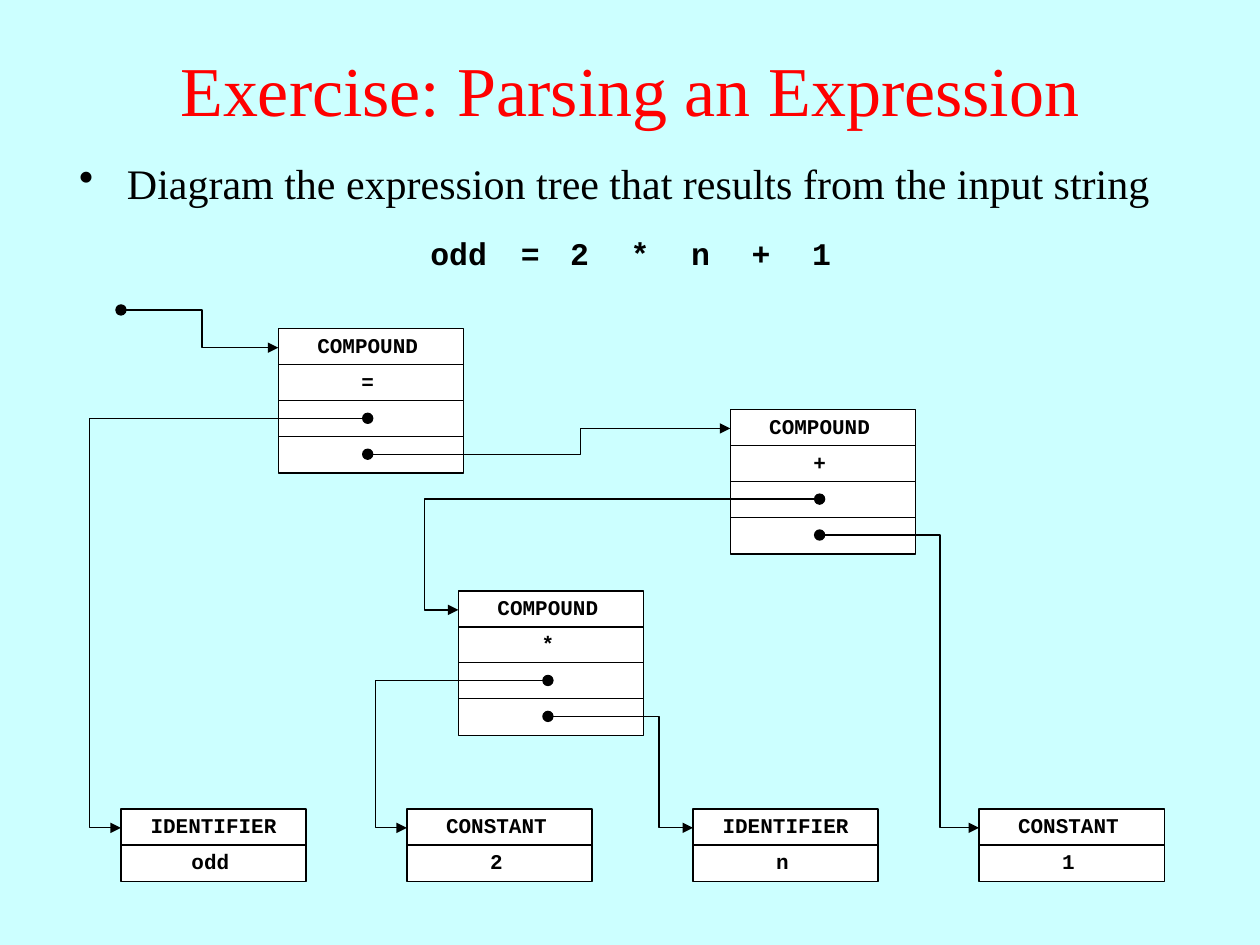
from dataclasses import dataclass

from lxml import etree
from pptx import Presentation
from pptx import util as u
from pptx.dml.color import RGBColor
from pptx.enum import shapes, text
from pptx.oxml import ns

W, H = 10, 7.5
COL, ROW = 2.27, 0.57 / 2
LEFT, TOP = 0.96, 2.61
NODE_W, DOT = 1.47, 0.08
ENTRY = 0.15


@dataclass(frozen=True)
class Theme:
    back: str = "CCFFFF"
    title: str = "FF0000"
    ink: str = "000000"
    cell: str = "FFFFFF"
    serif: str = "Times New Roman"
    mono: str = "Courier New"
    title_size: float = 40
    body_size: float = 24
    token_size: float = 18
    label_size: float = 12
    line: float = 0.75


T = Theme()

NODES = {
    "odd": (0, 13.37, "IDENTIFIER", "odd"),
    "two": (1, 13.37, "CONSTANT", "2"),
    "one": (3, 13.37, "CONSTANT", "1"),
    "n": (2, 13.37, "IDENTIFIER", "n"),
    "times": (1.18, 7.3, "COMPOUND", "*"),
    "plus": (2.13, 2.25, "COMPOUND", "+"),
    "assign": (0.55, 0, "COMPOUND", "="),
}
EDGES = [
    ("assign", 2, "odd", 0.71),
    ("assign", 3, "plus", 4.61),
    ("plus", 3, "one", 7.46),
    ("plus", 2, "times", 3.37),
    ("times", 2, "two", 2.98),
    ("times", 3, "n", 5.23),
]


def color(value):
    return RGBColor.from_string(value)


def add_xml(parent, tag, **attrs):
    return etree.SubElement(parent, ns.qn(tag), attrs)


def add_text(s, box, words, font, size, ink=T.ink, bold=False,
             align=text.PP_ALIGN.CENTER, anchor=text.MSO_ANCHOR.TOP):
    sp = s.shapes.add_textbox(*map(u.Inches, box))
    tf = sp.text_frame
    tf.word_wrap = True
    tf.vertical_anchor = anchor
    tf.text = words
    p = tf.paragraphs[0]
    p.alignment = align
    f = p.runs[0].font
    f.name, f.size, f.bold = font, u.Pt(size), bold
    f.color.rgb = color(ink)
    return p


def add_bullet(s, box, words):
    p = add_text(s, box, words, T.serif, T.body_size,
                 align=text.PP_ALIGN.JUSTIFY)
    p.line_spacing = 0.85
    p.space_after = u.Pt(6)
    pPr = p._p.get_or_add_pPr()
    pPr.set("marL", str(u.Inches(0.38)))
    pPr.set("indent", str(-u.Inches(0.38)))
    add_xml(add_xml(pPr, "a:buClr"), "a:srgbClr", val=T.ink)
    add_xml(pPr, "a:buChar", char="•")


def add_solid(s, kind, box, fill):
    sp = s.shapes.add_shape(kind, *map(u.Inches, box))
    sp.shadow.inherit = False
    sp.fill.solid()
    sp.fill.fore_color.rgb = color(fill)
    sp.line.color.rgb = color(T.ink)
    sp.line.width = u.Pt(T.line)


def add_dot(s, x, y):
    add_solid(s, shapes.MSO_SHAPE.OVAL, (x, y, DOT, DOT), T.ink)


def add_arrow(s, start, end, bend):
    cx = s.shapes.add_connector(shapes.MSO_CONNECTOR.ELBOW,
                                *map(u.Inches, (*start, *end)))
    cx.line.color.rgb = color(T.ink)
    cx.line.width = u.Pt(T.line)
    share = (bend - start[0]) / (end[0] - start[0])
    spPr = cx._element.spPr
    guides = spPr.find(ns.qn("a:prstGeom")).get_or_add_avLst()
    add_xml(guides, "a:gd", name="adj1", fmla=f"val {round(share * 100000)}")
    add_xml(cx.line._get_or_add_ln(), "a:tailEnd", type="triangle")
    add_xml(spPr, "a:effectLst")


def node_origin(name):
    col, row = NODES[name][:2]
    return LEFT + col * COL, TOP + row * ROW


def dot_origin(name, row):
    x, y = node_origin(name)
    return x + 0.67, y + row * ROW + 0.1


def add_node(s, name):
    x, y = node_origin(name)
    labels = NODES[name][2:]
    rows = 4 if labels[0] == "COMPOUND" else 2
    for i in range(rows):
        top = y + i * ROW
        add_solid(s, shapes.MSO_SHAPE.RECTANGLE, (x, top, NODE_W, 0.29), T.cell)
        if i < 2:
            dx, width = (0.1, 1.67) if labels[i] == "IDENTIFIER" else (0.04, 1.5)
            add_text(s, (x - dx, top - 0.02, width, 0.3), labels[i],
                     T.mono, T.label_size, bold=True)
        else:
            add_dot(s, *dot_origin(name, i))


def add_edge(s, parent, row, child, bend):
    x, y = dot_origin(parent, row)
    left, top = node_origin(child)
    start = x if bend < x else x + DOT
    add_arrow(s, (start, y + DOT / 2), (left, top + ENTRY), bend)


def add_root(s, name):
    x, y = 0.92, 2.42
    left, top = node_origin(name)
    add_dot(s, x, y)
    add_arrow(s, (x + DOT, y + DOT / 2), (left, top + ENTRY),
              (x + DOT + left) / 2)


def add_tokens(s):
    places = [(3.23, 0.82, "odd"), (3.96, 0.5, "=")]
    places += [(4.35 + i * 0.48, 0.5, word) for i, word in enumerate("2*n+1")]
    for x, width, word in places:
        add_text(s, (x, 1.81, width, 0.4), word, T.mono, T.token_size, bold=True)


def main():
    prs = Presentation()
    prs.slide_width, prs.slide_height = u.Inches(W), u.Inches(H)
    s = prs.slides.add_slide(prs.slide_layouts[6])
    s.background.fill.solid()
    s.background.fill.fore_color.rgb = color(T.back)
    add_text(s, (0, 0.08, W, H / 6), "Exercise: Parsing an Expression",
             T.serif, T.title_size, T.title, anchor=text.MSO_ANCHOR.MIDDLE)
    add_bullet(s, (0.53, 1.26, 0.9 * W, 0.65),
               "Diagram the expression tree that results from the input string")
    add_tokens(s)
    for name in NODES:
        add_node(s, name)
    for edge in EDGES:
        add_edge(s, *edge)
    add_root(s, "assign")
    prs.save("out.pptx")


if __name__ == "__main__":
    main()
